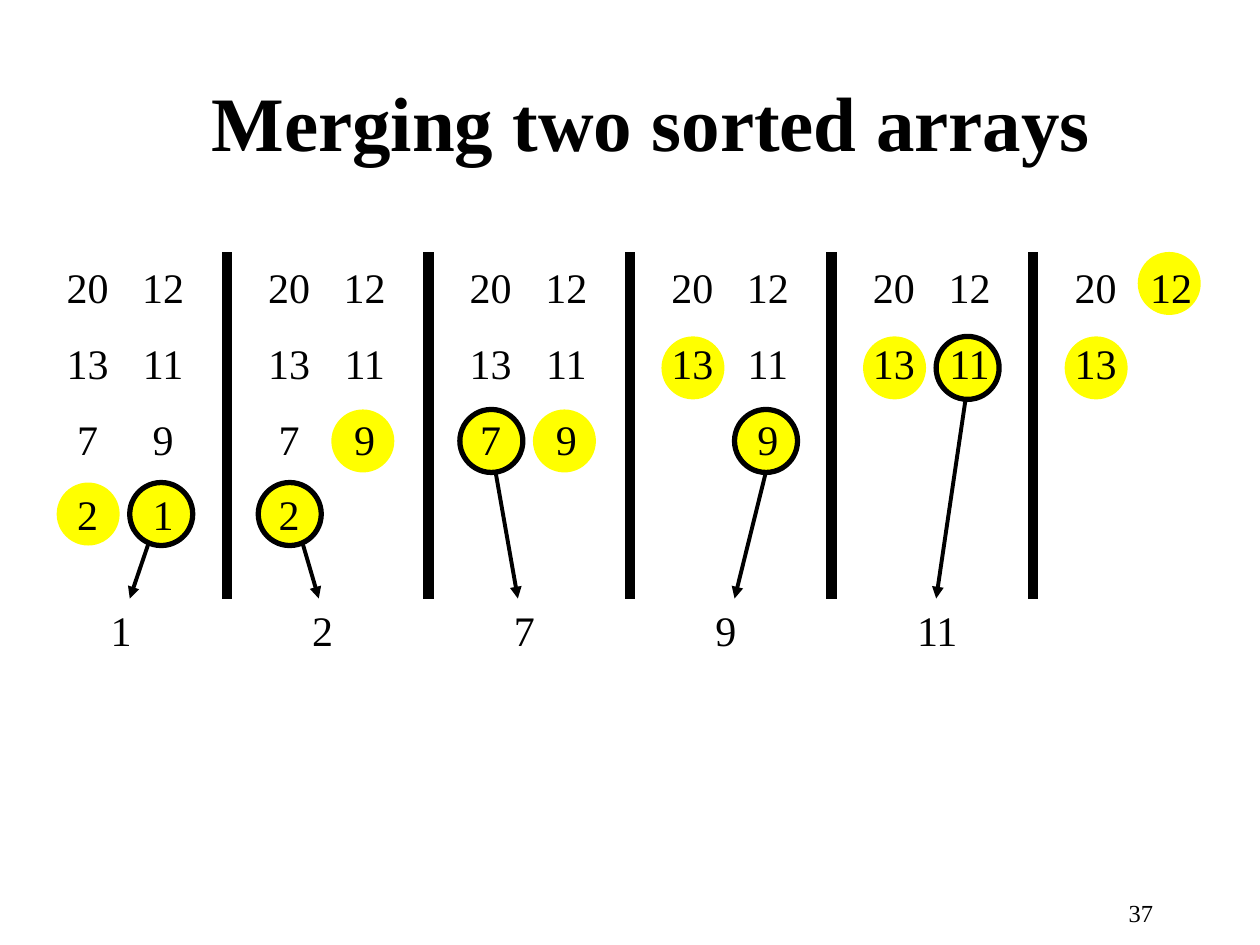
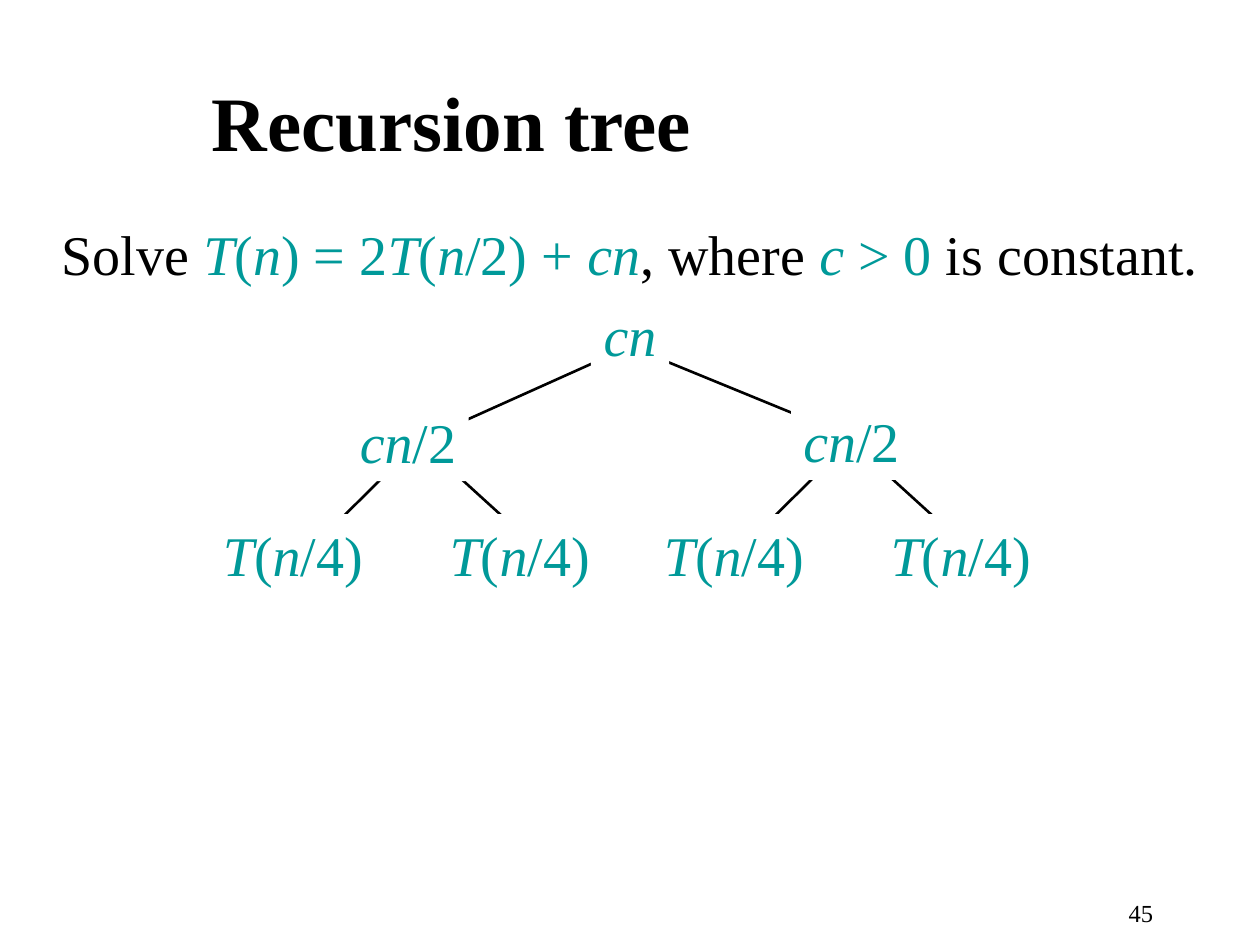
import itertools

import pptx
import pptx.dml.color
import pptx.enum.shapes
import pptx.enum.text
import pptx.oxml
import pptx.oxml.ns
import pptx.util
from pptx.util import Inches

FONT = "Times New Roman"
COLORS = {"ink": "000000", "math": "009999", "mark": "FFFF00", "paper": "FFFFFF"}
ALIGN = pptx.enum.text.PP_ALIGN
SHAPE = pptx.enum.shapes.MSO_SHAPE

LEFT_ARRAY = [20, 13, 7, 2]
RIGHT_ARRAY = [12, 11, 9, 1]
STEP_WIDTH = 1.6
COLUMN_GAP = 0.6
CIRCLE_GAP = 0.58
CIRCLE_TOPS = [2, 2.67, 3.25, 3.83]
DIVIDER_TOP, ARROW_TIP = 2, 4.75
ARROWS = [
    (1.2, 4.25, 1.03),
    (2.36, 4.17, 2.53),
    (3.86, 3.33, 4.11),
    (6.12, 3.58, 5.83),
    (7.7, 2.92, 7.43),
]


def rgb(name):
    return pptx.dml.color.RGBColor.from_string(COLORS[name])


def style_paragraph(p, size, color="ink", align=ALIGN.LEFT, bold=False):
    p.alignment = align
    p.font.name = FONT
    p.font.size = pptx.util.Pt(size)
    p.font.bold = bold
    p.font.color.rgb = rgb(color)


def add_text(slide, box, lines, size, align=ALIGN.LEFT, bold=False, spacing=None, wrap=False):
    sp = slide.shapes.add_textbox(*map(Inches, box))
    tf = sp.text_frame
    tf.word_wrap = wrap
    if not wrap:
        tf.auto_size = pptx.enum.text.MSO_AUTO_SIZE.SHAPE_TO_FIT_TEXT
    tf.text = "\n".join(map(str, lines))
    for p in tf.paragraphs:
        style_paragraph(p, size, align=align, bold=bold)
        if spacing:
            p.line_spacing = spacing
    return tf


def add_math(p, text, color="math"):
    for is_letter, chars in itertools.groupby(text, str.isalpha):
        r = p.add_run()
        r.text = "".join(chars)
        r.font.italic = is_letter and color == "math"
        r.font.color.rgb = rgb(color)


def add_line(shapes, start, end, width, arrow=False):
    ends = map(Inches, (*start, *end))
    cx = shapes.add_connector(pptx.enum.shapes.MSO_CONNECTOR.STRAIGHT, *ends)
    cx.line.width = pptx.util.Pt(width)
    cx.line.color.rgb = rgb("ink")
    if arrow:
        ln = cx.line._get_or_add_ln()
        ln.append(pptx.oxml.parse_xml(
            '<a:tailEnd %s type="triangle"/>' % pptx.oxml.ns.nsdecls("a")))
    spPr = cx._element.spPr
    spPr.append(pptx.oxml.parse_xml('<a:effectLst %s/>' % pptx.oxml.ns.nsdecls("a")))


def add_filled(shapes, kind, box, fill, outline=None):
    sp = shapes.add_shape(kind, *map(Inches, box))
    sp.shadow.inherit = False
    sp.fill.solid()
    sp.fill.fore_color.rgb = rgb(fill)
    if outline:
        sp.line.color.rgb = rgb("ink")
        sp.line.width = pptx.util.Pt(outline)
    else:
        sp.line.fill.background()
    return sp


def add_slide(prs, title, number):
    slide = prs.slides.add_slide(prs.slide_layouts[6])
    tf = add_text(slide, (1.58, 0.33, 8.25, 1.25), [title], 44, bold=True, wrap=True)
    tf.vertical_anchor = pptx.enum.text.MSO_ANCHOR.MIDDLE
    add_text(slide, (7.17, 7.08, 2.08, 0.25), [number], 14, ALIGN.RIGHT, wrap=True)
    return slide


def add_merge_step(slide, step, columns, merged):
    x = step * STEP_WIDTH
    if merged is not None:
        start_x, start_y, tip_x = ARROWS[step]
        add_line(slide.shapes, (start_x, start_y), (tip_x, ARROW_TIP), 2.25, arrow=True)
    for i, column in enumerate(columns):
        box = (x + 0.45 + i * CIRCLE_GAP, CIRCLE_TOPS[len(column) - 1], 0.5, 0.5)
        add_filled(slide.shapes, SHAPE.OVAL, box, "mark", 3 if column[-1] == merged else None)
    for i, column in enumerate(columns):
        box = (x + 0.43 + i * COLUMN_GAP, 1.83, 0.53, 0.1 + 0.6 * len(column))
        add_text(slide, box, column, 24, ALIGN.CENTER, spacing=1.5)
    if merged is not None:
        width = 0.19 + 0.17 * len(str(merged))
        add_text(slide, (x + 0.78, 4.75, width, 0.5), [merged], 24)


def add_merge_slide(prs):
    slide = add_slide(prs, "Merging two sorted arrays", 37)
    columns = [list(LEFT_ARRAY), list(RIGHT_ARRAY)]
    for step in range(len(ARROWS)):
        smallest = min(columns, key=lambda column: column[-1])
        add_merge_step(slide, step, columns, smallest[-1])
        smallest.pop()
    add_merge_step(slide, len(ARROWS), columns, None)
    for i in range(len(ARROWS)):
        x = 1.8 + i * STEP_WIDTH
        add_line(slide.shapes, (x, DIVIDER_TOP), (x, ARROW_TIP), 6)


def add_node(shapes, left, top, width, text):
    sp = add_filled(shapes, SHAPE.RECTANGLE, (left, top, width, 0.64), "paper")
    tf = sp.text_frame
    tf.word_wrap = False
    tf.margin_left = tf.margin_right = Inches(0.02)
    p = tf.paragraphs[0]
    style_paragraph(p, 32, "math", ALIGN.CENTER)
    add_math(p, text)


def add_tree_slide(prs):
    slide = add_slide(prs, "Recursion tree", 45)
    tf = add_text(slide, (0.39, 1.69, 9.22, 0.64), [""], 32)
    for text, color in [
        ("Solve ", "ink"),
        ("T(n) = 2T(n/2) + cn", "math"),
        (", where ", "ink"),
        ("c > 0", "math"),
        (" is constant.", "ink"),
    ]:
        add_math(tf.paragraphs[0], text, color)

    shapes = slide.shapes.add_group_shape().shapes
    root = (5, 2.75)
    for end_x, x, leaf_xs in [(3.33, 3.33, (2.41, 4.33)), (6.83, 6.75, (5.83, 7.75))]:
        add_line(shapes, root, (end_x, 3.5), 1.5)
        for leaf_x in leaf_xs:
            add_line(shapes, (x, 3.5), (leaf_x, 4.41), 1.5)
    add_node(shapes, 4.69, 2.33, 0.62, "cn")
    for left in (1.67, 3.47, 5.17, 6.97):
        add_node(shapes, left, 4.08, 1.31, "T(n/4)")
    for left, top in ((2.76, 3.18), (6.28, 3.17)):
        add_node(shapes, left, top, 0.96, "cn/2")


def main():
    prs = pptx.Presentation()
    prs.slide_width = Inches(10)
    prs.slide_height = Inches(7.5)
    add_merge_slide(prs)
    add_tree_slide(prs)
    prs.save("out.pptx")


main()
